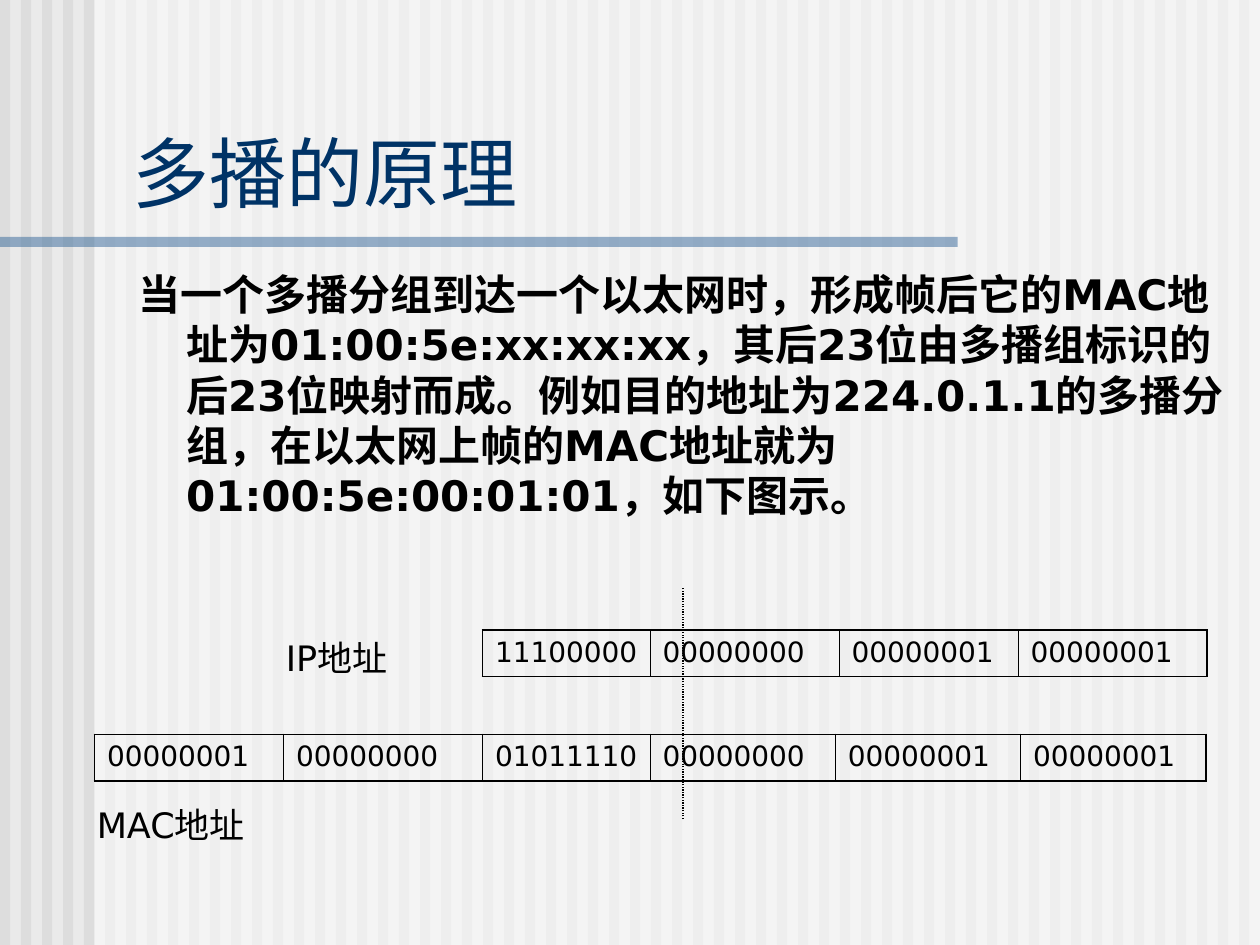
"""Builds a slide on how a multicast IP address maps to a MAC address."""
from dataclasses import dataclass

from lxml import etree
from pptx import Presentation
from pptx import util as u
from pptx.dml.color import RGBColor
from pptx.enum import dml, shapes, text
from pptx.oxml import ns

Inches = u.Inches


@dataclass(frozen=True)
class Theme:
    font: str = "DejaVu Sans"
    back: str = "EAEAEA"
    stripe: str = "DDDDDD"
    veil: str = "FFFFFF"
    rule: str = "336699"
    head: str = "003366"
    ink: str = "000000"
    title: int = 44
    body: int = 24
    label: int = 20
    bits: int = 16
    thick: float = 1.08
    thin: float = 0.45


THEME = Theme()


def rgb(code):
    return RGBColor.from_string(code)


def add_bar(slide, box, color, alpha=None):
    bar = slide.shapes.add_shape(shapes.MSO_SHAPE.RECTANGLE, *map(Inches, box))
    bar.shadow.inherit = False
    bar.line.fill.background()
    bar.fill.solid()
    bar.fill.fore_color.rgb = rgb(color)
    if alpha:
        tone = bar.fill._xPr.find(".//" + ns.qn("a:srgbClr"))
        etree.SubElement(tone, ns.qn("a:alpha"), val=str(alpha * 1000))


def set_text(frame, words, size, color=THEME.ink, bold=False, before=0):
    para = frame.paragraphs[0]
    para.text = words
    para.space_before = u.Pt(before)
    font = para.font
    font.name, font.size, font.bold = THEME.font, u.Pt(size), bold
    font.color.rgb = rgb(color)
    return para


def add_text(slide, box, words, size, anchor=text.MSO_ANCHOR.TOP, **style):
    frame = slide.shapes.add_textbox(*map(Inches, box)).text_frame
    frame.word_wrap = True
    frame.vertical_anchor = anchor
    return set_text(frame, words, size, **style)


def add_edge(cell, side, width):
    props = cell._tc.get_or_add_tcPr()
    edge = etree.SubElement(props, ns.qn("a:ln" + side), w=str(u.Pt(width)))
    fill = etree.SubElement(edge, ns.qn("a:solidFill"))
    etree.SubElement(fill, ns.qn("a:srgbClr"), val=THEME.ink)


def add_bits(slide, left, top, widths, octets):
    box = map(Inches, (left, top, sum(widths), 0.37))
    table = slide.shapes.add_table(1, len(octets), *box).table
    table.first_row = table.horz_banding = False
    last = len(octets) - 1
    for i, (width, octet) in enumerate(zip(widths, octets)):
        table.columns[i].width = Inches(width)
        cell = table.cell(0, i)
        set_text(cell.text_frame, octet, THEME.bits, before=4)
        add_edge(cell, "L", THEME.thin if i else THEME.thick)
        add_edge(cell, "R", THEME.thin if i < last else THEME.thick)
        add_edge(cell, "T", THEME.thick)
        add_edge(cell, "B", THEME.thick)
        cell.fill.background()


def add_line(slide, start, end):
    line = slide.shapes.add_connector(
        shapes.MSO_CONNECTOR.STRAIGHT, *map(Inches, start + end))
    line.line.color.rgb = rgb(THEME.ink)
    line.line.width = u.Pt(0.75)
    line.line.dash_style = dml.MSO_LINE.ROUND_DOT
    etree.SubElement(line._element.spPr, ns.qn("a:effectLst"))


def add_backdrop(slide):
    fill = slide.background.fill
    fill.solid()
    fill.fore_color.rgb = rgb(THEME.back)
    for i in range(60):
        add_bar(slide, (i / 6, 0, 0.08, 7.5), THEME.stripe)
    add_bar(slide, (0.75, 0, 9.25, 7.5), THEME.veil, 50)
    add_bar(slide, (0, 1.88, 7.6, 0.08), THEME.rule, 50)


def main():
    deck = Presentation()
    deck.slide_width, deck.slide_height = Inches(10), Inches(7.5)
    slide = deck.slides.add_slide(deck.slide_layouts[6])
    add_backdrop(slide)
    add_text(slide, (0.95, 0.94, 8.93, 0.84), "多播的原理", THEME.title,
             text.MSO_ANCHOR.BOTTOM, color=THEME.head)
    body = add_text(
        slide, (1, 2.08, 8.87, 2.17),
        "当一个多播分组到达一个以太网时，形成帧后它的MAC地址为"
        "01:00:5e:xx:xx:xx，其后23位由多播组标识的后23位映射而成。"
        "例如目的地址为224.0.1.1的多播分组，在以太网上帧的MAC地址就为"
        "01:00:5e:00:01:01，如下图示。",
        THEME.body, bold=True, before=6)
    props = body._p.get_or_add_pPr()
    props.set("marL", str(Inches(0.38)))
    props.set("indent", str(Inches(-0.38)))
    add_bits(slide, 3.83, 5, (1.33, 1.5, 1.42, 1.5),
             ("11100000", "00000000", "00000001", "00000001"))
    add_bits(slide, 0.75, 5.83, (1.5, 1.58, 1.33, 1.47, 1.47, 1.47),
             ("00000001", "00000000", "01011110",
              "00000000", "00000001", "00000001"))
    add_line(slide, (5.42, 6.5), (5.42, 4.67))
    add_text(slide, (2.17, 5, 1.33, 0.44), "IP地址", THEME.label, before=12.5)
    add_text(slide, (0.67, 6.33, 1.5, 0.44), "MAC地址", THEME.label, before=12.5)
    deck.save("out.pptx")


if __name__ == "__main__":
    main()
